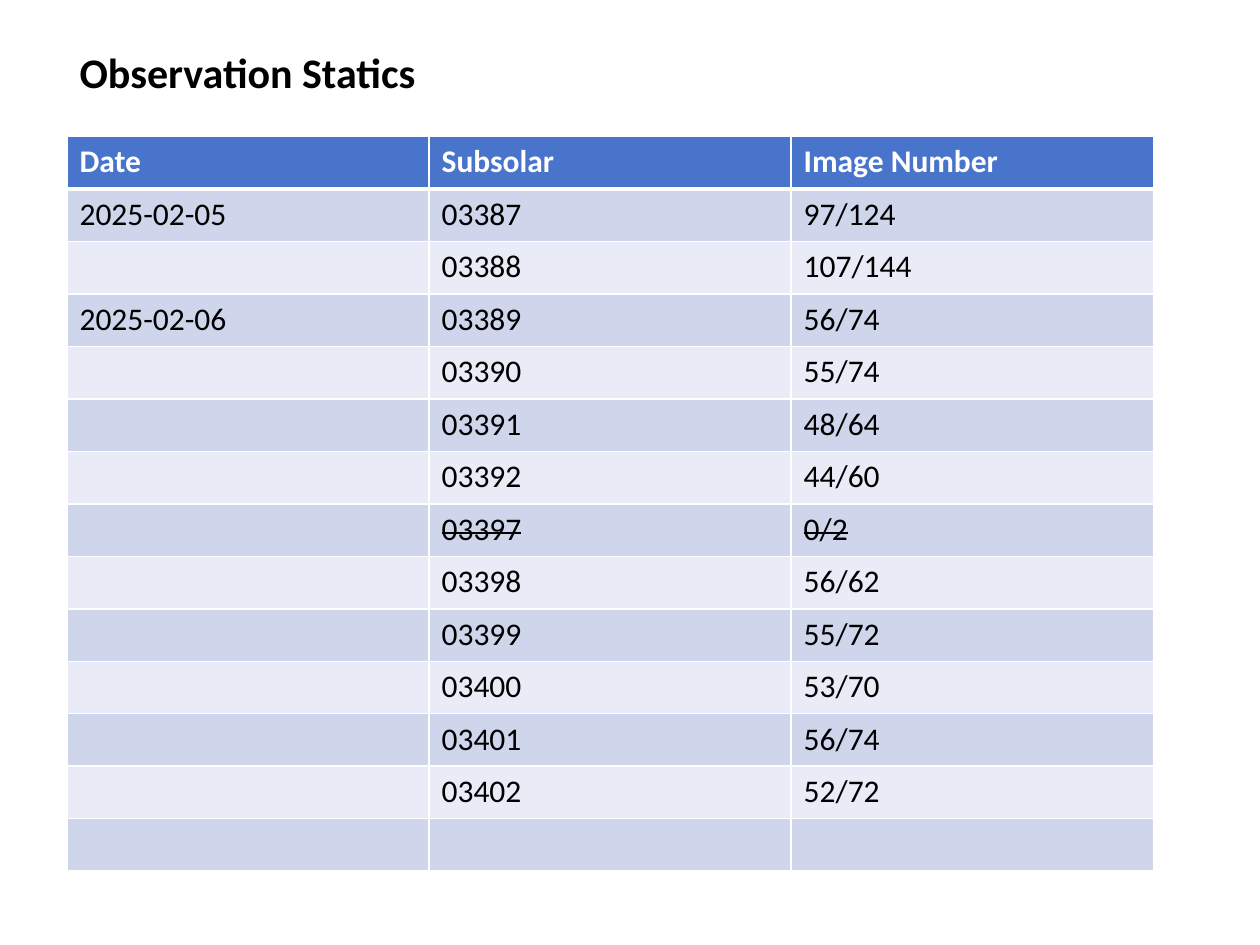
from dataclasses import dataclass

from lxml import etree
from pptx import Presentation
from pptx.dml.color import RGBColor
from pptx.enum import text
from pptx.oxml import ns
from pptx.util import Cm, Pt


@dataclass(frozen=True)
class Theme:
    font: str = "Calibri"
    title_size: int = 24
    table_size: int = 18
    ink: str = "000000"
    paper: str = "FFFFFF"
    header: str = "4874CB"
    bands: tuple = ("CFD6EC", "E9EBF6")
    rule: int = 1
    header_rule: int = 3


THEME = Theme()
HEADINGS = ("Date", "Subsolar", "Image Number")
OBSERVATIONS = (
    ("2025-02-05", "03387", "97/124"),
    ("", "03388", "107/144"),
    ("2025-02-06", "03389", "56/74"),
    ("", "03390", "55/74"),
    ("", "03391", "48/64"),
    ("", "03392", "44/60"),
    ("", "03397", "0/2"),
    ("", "03398", "56/62"),
    ("", "03399", "55/72"),
    ("", "03400", "53/70"),
    ("", "03401", "56/74"),
    ("", "03402", "52/72"),
    ("", "", ""),
)
DISCARDED = {"03397"}


def write(tf, words, size, color=THEME.ink, bold=False, strike=False):
    """Put one formatted run into a text frame."""
    p = tf.paragraphs[0]
    p.alignment = text.PP_ALIGN.LEFT
    r = p.add_run()
    r.text = words
    r.font.name = THEME.font
    r.font.size = Pt(size)
    r.font.bold = bold
    r.font.color.rgb = RGBColor.from_string(color)
    if strike:
        r._r.get_or_add_rPr().set("strike", "sngStrike")


def set_borders(cell, top, bottom):
    """Draw the four cell borders, with widths in points."""
    tcPr = cell._tc.get_or_add_tcPr()
    widths = {"lnL": THEME.rule, "lnR": THEME.rule, "lnT": top, "lnB": bottom}
    for side, width in widths.items():
        ln = etree.SubElement(tcPr, ns.qn(f"a:{side}"), w=str(Pt(width)))
        fill = etree.SubElement(ln, ns.qn("a:solidFill"))
        etree.SubElement(fill, ns.qn("a:srgbClr"), val=THEME.paper)


def add_title(s, words, left, top, width, height):
    sp = s.shapes.title
    sp.left, sp.top, sp.width, sp.height = left, top, width, height
    tf = sp.text_frame
    tf.word_wrap = True
    tf.auto_size = text.MSO_AUTO_SIZE.NONE
    tf.vertical_anchor = text.MSO_ANCHOR.MIDDLE
    write(tf, words, THEME.title_size, bold=True)


def add_observation_table(s, left, top, width, height):
    rows = (HEADINGS, *OBSERVATIONS)
    table = s.shapes.add_table(
        len(rows), len(HEADINGS), left, top, width, height).table
    for i, values in enumerate(rows):
        is_header = i == 0
        fill = THEME.header if is_header else THEME.bands[(i - 1) % 2]
        strike = bool(DISCARDED.intersection(values))
        for j, value in enumerate(values):
            cell = table.cell(i, j)
            set_borders(cell,
                        top=THEME.header_rule if i == 1 else THEME.rule,
                        bottom=THEME.header_rule if is_header else THEME.rule)
            cell.fill.solid()
            cell.fill.fore_color.rgb = RGBColor.from_string(fill)
            if value:
                write(cell.text_frame, value, THEME.table_size,
                      color=THEME.paper if is_header else THEME.ink,
                      bold=is_header, strike=strike)


def main():
    prs = Presentation()
    prs.slide_width, prs.slide_height = Cm(25.4), Cm(19.05)
    s = prs.slides.add_slide(prs.slide_layouts[5])

    # Title and table share the same left edge and width
    left, width = Cm(1.35), Cm(21.9)
    add_title(s, "Observation Statics", left, Cm(0.71), width, Cm(1.45))
    add_observation_table(s, left, Cm(2.75), width, Cm(14.82))

    prs.save("out.pptx")


if __name__ == "__main__":
    main()
